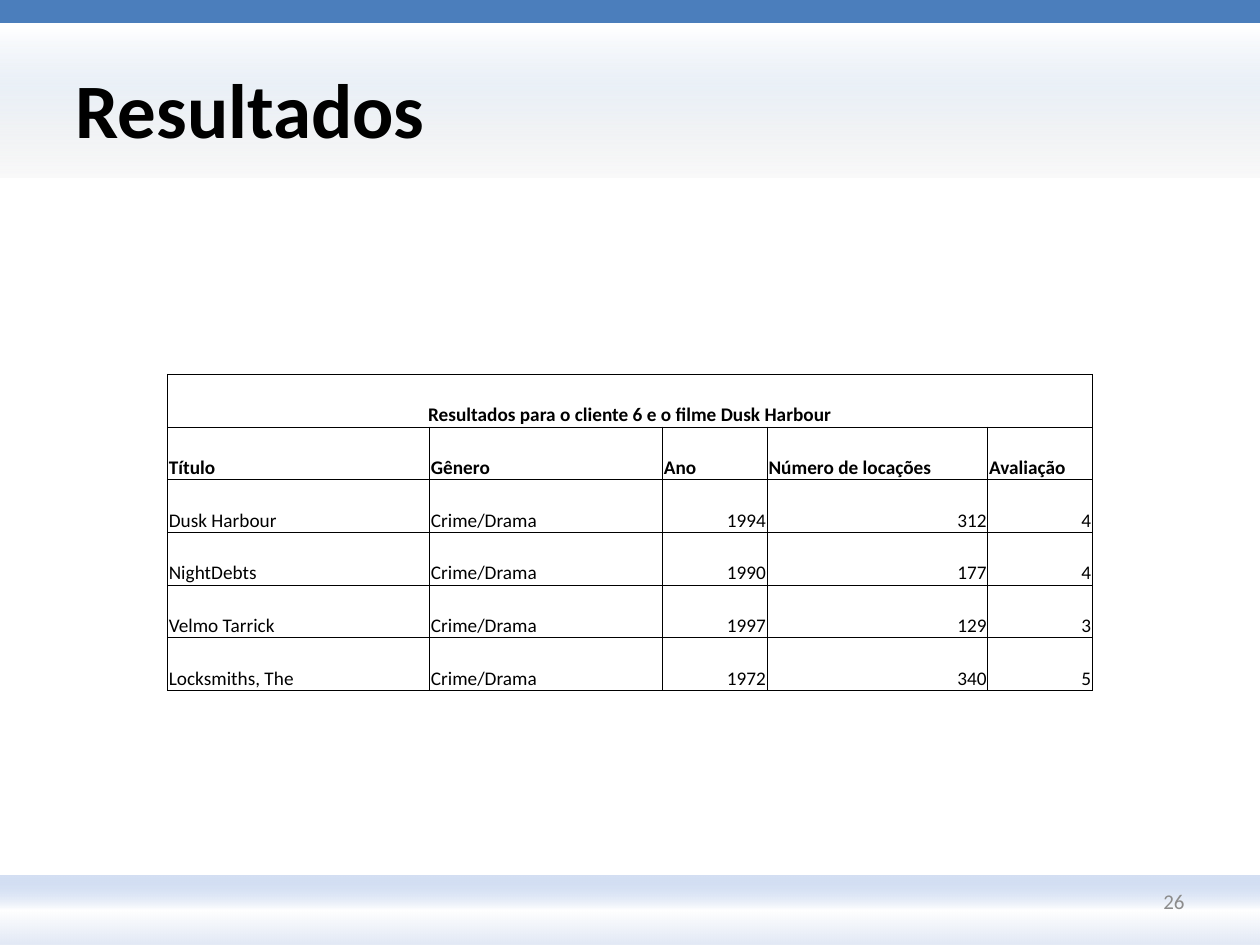
from lxml.etree import SubElement
from pptx import Presentation
from pptx.dml.color import RGBColor
from pptx.enum.shapes import MSO_CONNECTOR, MSO_SHAPE
from pptx.enum.text import MSO_ANCHOR, PP_ALIGN
from pptx.oxml import parse_xml
from pptx.oxml.ns import nsdecls, qn
from pptx.util import Inches, Pt

BLACK = RGBColor(0x00, 0x00, 0x00)
WHITE = RGBColor(0xFF, 0xFF, 0xFF)
GREY = RGBColor(0x8C, 0x8C, 0x8C)
BLUE = RGBColor(0x4B, 0x7E, 0xBC)
PALE_BLUE = RGBColor(0xDC, 0xE6, 0xF2)
LIGHT_GREY = RGBColor(0xD9, 0xD9, 0xD9)
SOFT_BLUE = RGBColor(0x9A, 0xB5, 0xE4)
ICE_BLUE = RGBColor(0xE1, 0xE8, 0xF5)

# Each band: top, height, and stops of (position %, colour, opacity %)
BANDS = [
    (0, 1.41, [(16, WHITE, 100), (50, PALE_BLUE, 59), (100, LIGHT_GREY, 14)]),
    (6.95, 0.55, [(0, SOFT_BLUE, 42), (50, WHITE, 100), (100, ICE_BLUE, 100)]),
]
CAPTION = "Resultados para o cliente 6 e o filme Dusk Harbour"
ROWS = [
    ("Título", "Gênero", "Ano", "Número de locações", "Avaliação"),
    ("Dusk Harbour", "Crime/Drama", "1994", "312", "4"),
    ("NightDebts", "Crime/Drama", "1990", "177", "4"),
    ("Velmo Tarrick", "Crime/Drama", "1997", "129", "3"),
    ("Locksmiths, The", "Crime/Drama", "1972", "340", "5"),
]
COLUMN_WIDTHS = [2.08, 1.85, 0.83, 1.75, 0.83]
TABLE_HEIGHT = 2.51
CELL_FORMAT = {
    "vertical_anchor": MSO_ANCHOR.BOTTOM,
    "margin_left": Inches(0.01),
    "margin_right": Inches(0.01),
    "margin_top": Inches(0.01),
    "margin_bottom": 0,
}


def write(frame, text, align, size, color=BLACK, bold=False):
    frame.text = text
    paragraph = frame.paragraphs[0]
    paragraph.alignment = align
    font = paragraph.runs[0].font
    for name, value in {"name": "Calibri", "size": Pt(size), "bold": bold}.items():
        setattr(font, name, value)
    font.color.rgb = color


def add_borders(cell):
    properties = cell._tc.get_or_add_tcPr()
    for side in ("lnL", "lnR", "lnT", "lnB"):
        properties.append(parse_xml(
            f'<a:{side} {nsdecls("a")} w="{Pt(0.5)}"><a:solidFill>'
            f'<a:srgbClr val="{BLACK}"/></a:solidFill></a:{side}>'))


prs = Presentation()
prs.slide_width, prs.slide_height = Inches(10), Inches(7.5)
slide = prs.slides.add_slide(prs.slide_layouts[5])
shapes = slide.shapes

# Background bands and top rule
for top, height, stops in BANDS:
    band = shapes.add_shape(
        MSO_SHAPE.RECTANGLE, 0, Inches(top), prs.slide_width, Inches(height))
    band.shadow.inherit = False
    band.line.fill.background()
    band.fill.gradient()
    gradient = band._element.spPr.find(qn("a:gradFill"))
    stop_list = gradient.find(qn("a:gsLst"))
    for old_stop in list(stop_list):
        stop_list.remove(old_stop)
    for position, color, opacity in stops:
        stop = SubElement(stop_list, qn("a:gs"), pos=str(position * 1000))
        tint = SubElement(stop, qn("a:srgbClr"), val=str(color))
        if opacity < 100:
            SubElement(tint, qn("a:alpha"), val=str(opacity * 1000))
    gradient.find(qn("a:lin")).set("ang", str(90 * 60000))

rule = shapes.add_connector(
    MSO_CONNECTOR.STRAIGHT, 0, Inches(0.08), prs.slide_width, Inches(0.08))
rule.line.color.rgb = BLUE
rule.line.width = Pt(14.25)
SubElement(rule._element.spPr, qn("a:effectLst"))

# Title, in front of the bands
title = shapes.title
shapes._spTree.append(title._element)
title.left, title.top = Inches(0.5), Inches(0.23)
title.width, title.height = Inches(9), Inches(1.25)
title.text_frame.vertical_anchor = MSO_ANCHOR.MIDDLE
write(title.text_frame, "Resultados", PP_ALIGN.LEFT, 44, bold=True)

# Results table
row_count = len(ROWS) + 1
results = shapes.add_table(
    row_count, len(COLUMN_WIDTHS), Inches(1.33), Inches(2.97),
    Inches(sum(COLUMN_WIDTHS)), Inches(TABLE_HEIGHT)).table
results.first_row = results.horz_banding = False
for column, width in zip(results.columns, COLUMN_WIDTHS):
    column.width = Inches(width)
for cell in results.iter_cells():
    for name, value in CELL_FORMAT.items():
        setattr(cell, name, value)
    add_borders(cell)
    cell.fill.background()

caption = results.cell(0, 0)
caption.merge(results.cell(0, len(COLUMN_WIDTHS) - 1))
write(caption.text_frame, CAPTION, PP_ALIGN.CENTER, 11, bold=True)
for r, values in enumerate(ROWS, start=1):
    for c, value in enumerate(values):
        align = PP_ALIGN.RIGHT if value.isdigit() else PP_ALIGN.LEFT
        write(results.cell(r, c).text_frame, value, align, 11, bold=r == 1)

# Page number
page_number = shapes.add_textbox(
    Inches(7.17), Inches(6.95), Inches(2.33), Inches(0.4)).text_frame
page_number.word_wrap = True
page_number.vertical_anchor = MSO_ANCHOR.MIDDLE
write(page_number, "26", PP_ALIGN.RIGHT, 12, GREY)

prs.save("out.pptx")
